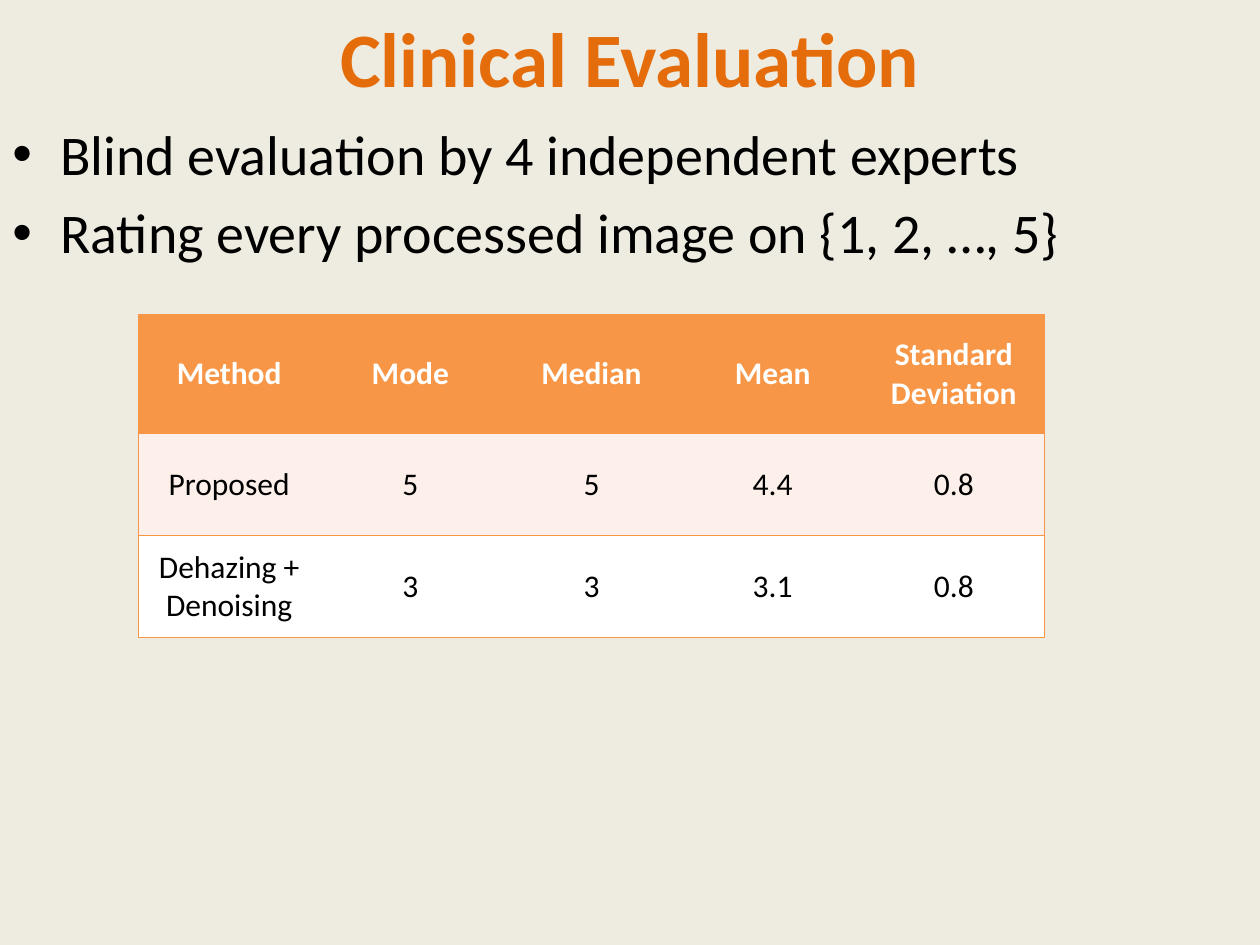
from lxml import etree
from pptx import Presentation
from pptx.dml.color import RGBColor
from pptx.enum.text import MSO_ANCHOR, PP_ALIGN
from pptx.oxml.ns import qn
from pptx.util import Inches, Pt

LEFT, CENTER = PP_ALIGN.LEFT, PP_ALIGN.CENTER
TOP, MIDDLE = MSO_ANCHOR.TOP, MSO_ANCHOR.MIDDLE
FONT = "Calibri"
BACKGROUND, TITLE_ORANGE, TABLE_ORANGE = "EEECE1", "E46C0A", "F79646"
BAND, WHITE, BLACK = "FDEFE9", "FFFFFF", "000000"

TITLE = "Clinical Evaluation"
POINTS = [
    "Blind evaluation by 4 independent experts",
    "Rating every processed image on {1, 2, …, 5}",
]
RATINGS = [
    ["Method", "Mode", "Median", "Mean", "Standard Deviation"],
    ["Proposed", "5", "5", "4.4", "0.8"],
    ["Dehazing + Denoising", "3", "3", "3.1", "0.8"],
]
ROW_HEIGHTS = [0.94, 0.81, 0.81]
ROW_STYLES = [(TABLE_ORANGE, WHITE, True), (BAND, BLACK, False), (WHITE, BLACK, False)]


def rgb(color):
    """Turn a hex string into a colour."""
    return RGBColor.from_string(color)


def add_bullet(paragraph, indent):
    """Give a paragraph a round bullet with a hanging indent."""
    properties = paragraph._p.get_or_add_pPr()
    properties.set("marL", str(indent))
    properties.set("indent", str(-indent))
    etree.SubElement(properties, qn("a:buFont"), typeface="Arial")
    etree.SubElement(properties, qn("a:buChar"), char="•")


def write(frame, lines, size, color=BLACK, bold=False, align=LEFT,
          anchor=TOP, indent=None, gap=0):
    """Write one formatted paragraph per line into a text frame."""
    frame.word_wrap = True
    frame.vertical_anchor = anchor
    for index, line in enumerate(lines):
        paragraph = frame.add_paragraph() if index else frame.paragraphs[0]
        if indent:
            add_bullet(paragraph, indent)
        paragraph.alignment = align
        if index:
            paragraph.space_before = Pt(gap)
        run = paragraph.add_run()
        run.text = line
        run.font.name = FONT
        run.font.size = Pt(size)
        run.font.bold = bold
        run.font.color.rgb = rgb(color)


def set_border(cell, side, color=None):
    """Draw a one-point cell border, or hide it when no colour is given."""
    line = etree.SubElement(cell._tc.get_or_add_tcPr(), qn(f"a:ln{side}"), w=str(Pt(1)))
    if color:
        fill = etree.SubElement(line, qn("a:solidFill"))
        etree.SubElement(fill, qn("a:srgbClr"), val=color)
    else:
        etree.SubElement(line, qn("a:noFill"))


def add_title(slide, left, top, width, height):
    """Place the centred slide title."""
    title = slide.shapes.add_textbox(left, top, width, height)
    write(title.text_frame, [TITLE], 44, color=TITLE_ORANGE, bold=True,
          align=CENTER, anchor=MIDDLE)


def add_points(slide, left, top, width, height):
    """Place the bulleted description of the evaluation."""
    points = slide.shapes.add_textbox(left, top, width, height)
    write(points.text_frame, POINTS, 32, indent=Inches(0.38), gap=6.4)


def add_ratings(slide, left, top, width, height):
    """Place the table of expert ratings."""
    last = len(RATINGS[0]) - 1
    table = slide.shapes.add_table(len(RATINGS), last + 1, left, top, width, height).table
    table.first_row = table.horz_banding = False
    for column in table.columns:
        column.width = width // (last + 1)
    for r, (values, row_height, style) in enumerate(zip(RATINGS, ROW_HEIGHTS, ROW_STYLES)):
        fill, color, bold = style
        table.rows[r].height = Inches(row_height)
        for c, value in enumerate(values):
            cell = table.cell(r, c)
            set_border(cell, "L", TABLE_ORANGE if c == 0 else None)
            set_border(cell, "R", TABLE_ORANGE if c == last else None)
            set_border(cell, "T", TABLE_ORANGE)
            set_border(cell, "B", TABLE_ORANGE)
            cell.fill.solid()
            cell.fill.fore_color.rgb = rgb(fill)
            cell.vertical_anchor = MIDDLE
            write(cell.text_frame, [value], 18, color=color, bold=bold,
                  align=CENTER, anchor=MIDDLE)


def main():
    """Build and save the slide."""
    deck = Presentation()
    deck.slide_width, deck.slide_height = Inches(10), Inches(7.5)
    slide = deck.slides.add_slide(deck.slide_layouts[6])
    slide.background.fill.solid()
    slide.background.fill.fore_color.rgb = rgb(BACKGROUND)
    add_title(slide, 0, 0, Inches(10), Inches(0.9))
    add_points(slide, 0, Inches(0.9), Inches(10), Inches(6.6))
    add_ratings(slide, Inches(1.1), Inches(2.5), Inches(7.19), Inches(sum(ROW_HEIGHTS)))
    deck.save("out.pptx")


if __name__ == "__main__":
    main()
